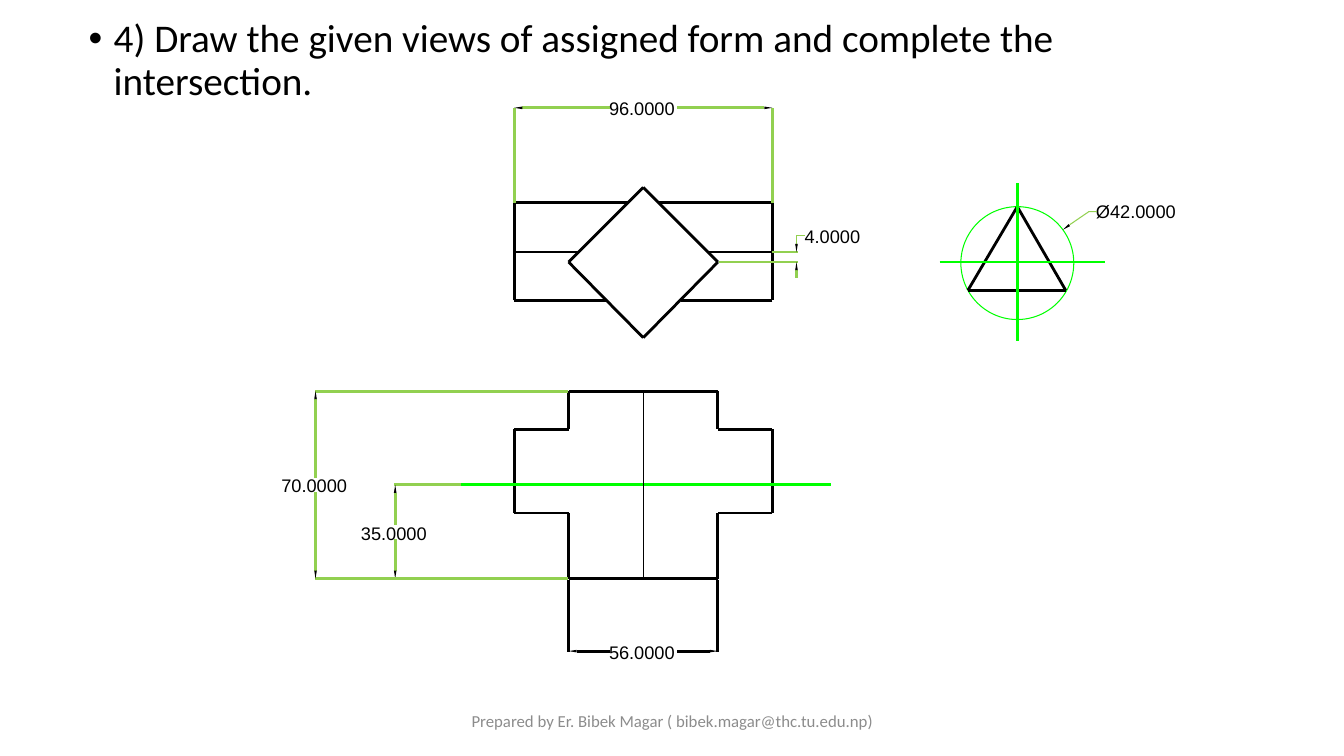
import math
from itertools import pairwise
from lxml import etree
from pptx import Presentation
from pptx import util as u
from pptx.dml.color import RGBColor
from pptx.enum import shapes, text
from pptx.oxml.ns import qn

PX = 9144  # one px is a hundredth of an inch
COLORS = {"ink": "000000", "axis": "00FF00", "dim": "92D050", "footer": "8C8C8C"}


def rgb(name):
    return RGBColor.from_string(COLORS[name])


def add_text(s, words, x, y, w, h, font="Arial", size=13, color="ink", wrap=False,
             inset=(0, 0), align=None, anchor=None, bullet=False, spacing=None):
    tf = s.shapes.add_textbox(x * PX, y * PX, w * PX, h * PX).text_frame
    tf.word_wrap = wrap
    tf.margin_left = tf.margin_right = inset[0] * PX
    tf.margin_top = tf.margin_bottom = inset[1] * PX
    if anchor is not None:
        tf.vertical_anchor = anchor
    p = tf.paragraphs[0]
    if bullet:
        pPr = p._p.get_or_add_pPr()
        pPr.set("marL", str(25 * PX))
        pPr.set("indent", str(-25 * PX))
        etree.SubElement(pPr, qn("a:buFont")).set("typeface", "Arial")
        etree.SubElement(pPr, qn("a:buChar")).set("char", "•")
    p.alignment = align
    if spacing:
        p.line_spacing = spacing
    r = p.add_run()
    r.text = words
    r.font.name, r.font.size = font, u.Pt(size)
    r.font.color.rgb = rgb(color)


def add_lines(s, points, color="ink", width=0):
    """Draw one straight line between each pair of neighbouring points."""
    for (x1, y1), (x2, y2) in pairwise(points):
        c = s.shapes.add_connector(shapes.MSO_CONNECTOR.STRAIGHT,
                                   x1 * PX, y1 * PX, x2 * PX, y2 * PX)
        c.line.color.rgb = rgb(color)
        c.line.width = u.Pt(width)
        etree.SubElement(c._element.spPr, qn("a:effectLst"))


def add_outline(s, points, line=None, fill=None, close=False):
    pts = [(round(x * PX), round(y * PX)) for x, y in points]
    fb = s.shapes.build_freeform(*pts[0], scale=1.0)
    fb.add_line_segments(pts[1:], close=close)
    sp = fb.convert_to_shape()
    sp.shadow.inherit = False
    if fill:
        sp.fill.solid()
        sp.fill.fore_color.rgb = rgb(fill)
    else:
        sp.fill.background()
    if line:
        sp.line.color.rgb = rgb(line)
        sp.line.width = 0
    else:
        sp.line.fill.background()


def add_arrow(s, tail, tip, length=8, half=1.3):
    """Draw a filled arrowhead at tip that points away from tail."""
    dx, dy = tip[0] - tail[0], tip[1] - tail[1]
    d = math.hypot(dx, dy)
    dx, dy = dx / d, dy / d
    x, y = tip[0] - length * dx, tip[1] - length * dy
    add_outline(s, [(x - half * dy, y + half * dx), (x + half * dy, y - half * dx), tip],
                fill="ink", close=True)


def add_dimension(s, start, end, label, color="dim"):
    """Draw a dimension line with two arrowheads and a label in its gap."""
    mid = [round((a + b) / 2) for a, b in zip(start, end)]
    gap = 33 if start[1] == end[1] else 7
    for tip in (start, end):
        sign = [(t > m) - (t < m) for t, m in zip(tip, mid)]
        outer = tuple(t - 8 * k for t, k in zip(tip, sign))
        inner = tuple(m + gap * k for m, k in zip(mid, sign))
        add_lines(s, [outer, inner], color)
        add_arrow(s, mid, tip)
    add_text(s, label, mid[0] - 34, mid[1] - 10, 79, 26)


def draw_top_view(s):
    add_lines(s, [(564, 260), (638, 186), (712, 260), (638, 335), (564, 260)])
    add_lines(s, [(601, 298), (510, 298), (510, 201), (623, 201)])
    add_lines(s, [(653, 201), (766, 201), (766, 298), (675, 298)])
    add_lines(s, [(766, 250), (702, 250)])
    add_lines(s, [(574, 250), (510, 250)])
    # Overall length
    for x in (510, 766):
        add_lines(s, [(x, 201), (x, 107)], "dim")
    add_dimension(s, (510, 107), (766, 107), "96.0000")
    # Offset between the axes
    add_lines(s, [(713, 260), (791, 260)], "dim")
    add_lines(s, [(766, 250), (791, 250)], "dim")
    add_lines(s, [(790, 268), (790, 276)], "dim")
    add_outline(s, [(790, 242), (790, 234), (798, 234)], line="dim")
    add_arrow(s, (790, 268), (790, 260))
    add_arrow(s, (790, 242), (790, 250))
    add_text(s, "4.0000", 798, 224, 68, 26)


def draw_front_view(s):
    add_lines(s, [(564, 574), (564, 509), (510, 509), (510, 426), (564, 426), (564, 388),
                  (712, 388), (712, 426), (766, 426), (766, 509), (712, 509), (712, 574),
                  (564, 574)])
    add_lines(s, [(824, 481), (457, 481)], "axis")
    # Base width
    for x in (564, 712):
        add_lines(s, [(x, 575), (x, 647)])
    add_dimension(s, (564, 646), (712, 646), "56.0000", "ink")
    # Heights
    add_lines(s, [(457, 481), (391, 481)], "dim")
    add_lines(s, [(563, 574), (391, 574)])
    add_dimension(s, (392, 481), (392, 574), "35.0000")
    for y in (388, 574):
        add_lines(s, [(563, y), (312, y)], "dim")
    add_dimension(s, (313, 388), (313, 574), "70.0000")
    add_lines(s, [(638, 388), (638, 574)], width=0.5)


def draw_side_view(s):
    circle = s.shapes.add_shape(shapes.MSO_SHAPE.OVAL, 953 * PX, 205 * PX, 112 * PX, 112 * PX)
    circle.shadow.inherit = False
    circle.fill.background()
    circle.line.color.rgb = rgb("axis")
    circle.line.width = 0
    add_lines(s, [(1009, 205), (960, 288), (1057, 288), (1009, 205)])
    add_lines(s, [(1009, 182), (1009, 338)], "axis")
    add_lines(s, [(932, 260), (1096, 260)], "axis")
    # Diameter leader
    add_text(s, "Ø42.0000", 1087, 199, 94, 26)
    add_outline(s, [(1088, 210), (1080, 210), (1061, 223)], line="dim")
    add_arrow(s, (1061, 223), (1054, 228))


def main():
    prs = Presentation()
    prs.slide_width, prs.slide_height = 1333 * PX, 750 * PX
    s = prs.slides.add_slide(prs.slide_layouts[6])
    # Task and footer
    add_text(s, "4) Draw the given views of assigned form and complete the intersection.",
             78, 14, 1150, 144, font="Calibri", size=28, wrap=True, inset=(10, 5),
             bullet=True, spacing=0.9)
    add_text(s, "Prepared by Er. Bibek Magar ( bibek.magar@thc.tu.edu.np)",
             442, 695, 450, 40, font="Calibri", size=12, color="footer", wrap=True,
             inset=(10, 5), align=text.PP_ALIGN.CENTER, anchor=text.MSO_ANCHOR.MIDDLE)
    # Drawing
    draw_top_view(s)
    draw_front_view(s)
    draw_side_view(s)
    prs.save("out.pptx")


if __name__ == "__main__":
    main()
